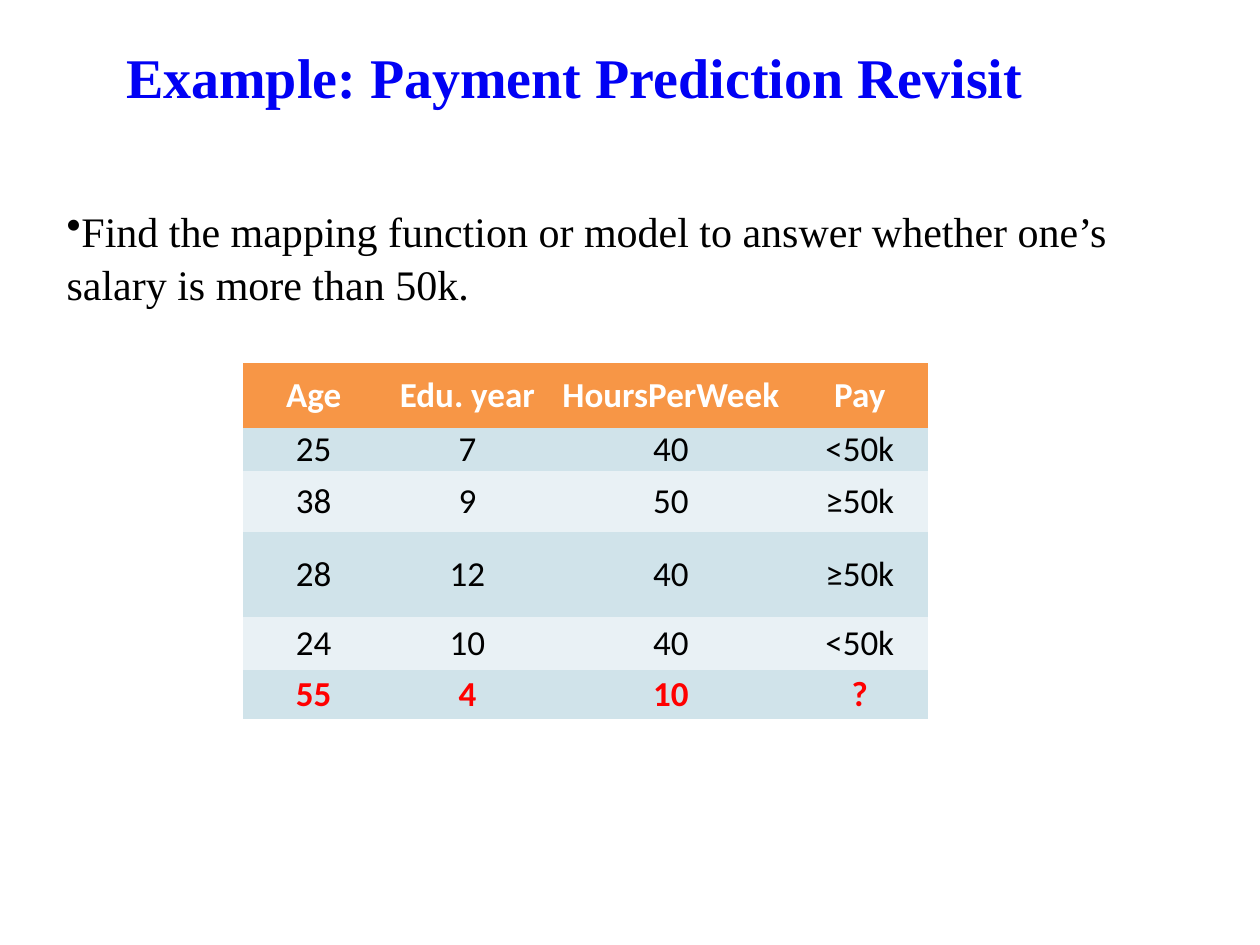
from lxml import etree
from pptx import Presentation
from pptx.dml.color import RGBColor
from pptx.enum.text import MSO_ANCHOR as Anchor, MSO_AUTO_SIZE as AutoSize, PP_ALIGN as Align
from pptx.oxml.ns import qn
from pptx.util import Inches

from pptx.util import Pt

COLORS = {
    "title": "0101F4", "text": "000000", "header": "F79646", "header_text": "FFFFFF",
    "odd": "D0E3EA", "even": "E9F1F5", "query": "FF0000",
}
SERIF, SANS = "Times New Roman", "Calibri"
COLUMNS = [1.12, 1.32, 1.91, 1.09]
ROWS = [0.52, 0.34, 0.48, 0.68, 0.42, 0.39]
RECORDS = [
    ["Age", "Edu. year", "HoursPerWeek", "Pay"],
    ["25", "7", "40", "<50k"],
    ["38", "9", "50", "≥50k"],
    ["28", "12", "40", "≥50k"],
    ["24", "10", "40", "<50k"],
    ["55", "4", "10", "?"],
]


def color(name):
    return RGBColor.from_string(COLORS[name])


def add_span(para, text, font, size, tint, bold=False):
    span = para.add_run()
    span.text = text
    span.font.name, span.font.size, span.font.bold = font, Pt(size), bold
    span.font.color.rgb = color(tint)


def place_title(page, box):
    title = page.shapes.title
    title.left, title.top, title.width, title.height = map(Inches, box)
    frame = title.text_frame
    frame.auto_size = AutoSize.NONE
    frame.vertical_anchor = Anchor.TOP
    para = frame.paragraphs[0]
    para.alignment = Align.LEFT
    add_span(para, "Example: Payment Prediction Revisit", SERIF, 32, "title", True)


def place_question(page, box):
    frame = page.shapes.add_textbox(*map(Inches, box)).text_frame
    frame.word_wrap = True
    para = frame.paragraphs[0]
    para.line_spacing = 1.07
    bullet = etree.SubElement(para._p.get_or_add_pPr(), qn("a:buChar"))
    bullet.set("char", "•")
    add_span(para, "Find the mapping function or model to answer whether one’s "
             "salary is more than 50k.", SERIF, 24, "text")


def row_style(index):
    if index == 0:
        return "header", "header_text", True
    fill = "odd" if index % 2 else "even"
    if index == len(RECORDS) - 1:
        return fill, "query", True
    return fill, "text", False


def place_records(page, box):
    table = page.shapes.add_table(len(ROWS), len(COLUMNS), *map(Inches, box)).table
    for column, width in zip(table.columns, COLUMNS):
        column.width = Inches(width)
    for index, (height, record) in enumerate(zip(ROWS, RECORDS)):
        table.rows[index].height = Inches(height)
        fill, tint, bold = row_style(index)
        for position, value in enumerate(record):
            cell = table.cell(index, position)
            cell.fill.solid()
            cell.fill.fore_color.rgb = color(fill)
            cell.vertical_anchor = Anchor.MIDDLE
            cell.margin_left = cell.margin_right = Inches(0.07)
            cell.margin_top = cell.margin_bottom = 0
            para = cell.text_frame.paragraphs[0]
            para.alignment = Align.CENTER
            add_span(para, value, SANS, 20, tint, bold)
    style = table._tbl.tblPr.find(qn("a:tableStyleId"))
    style.text = "{2D5ABB26-0587-4C30-8999-92F81FD0307C}"


def main():
    deck = Presentation()
    deck.slide_width, deck.slide_height = Inches(10), Inches(7.5)
    page = deck.slides.add_slide(deck.slide_layouts[5])
    place_question(page, (0.43, 1.55, 8.98, 1.02))
    place_title(page, (0.9, 0.29, 9.06, 0.52))
    place_records(page, (1.93, 2.88, sum(COLUMNS), sum(ROWS)))
    deck.save("out.pptx")


if __name__ == "__main__":
    main()
